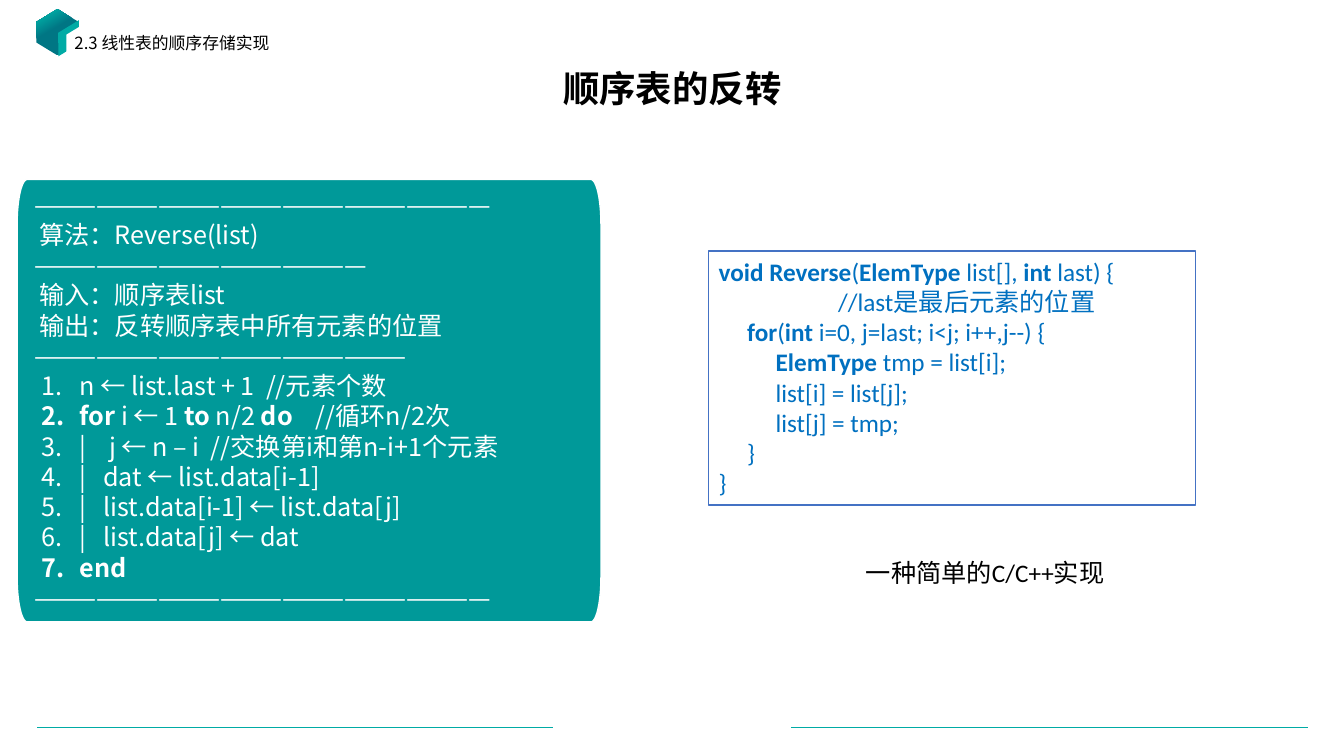
from math import cos, pi, sin

from lxml.etree import SubElement
from pptx import Presentation
from pptx.dml.color import RGBColor
from pptx.enum.shapes import MSO_CONNECTOR, MSO_SHAPE
from pptx.enum.text import MSO_ANCHOR, PP_ALIGN
from pptx.oxml.ns import qn
from pptx.util import Inches, Pt

TEAL = RGBColor(0x00, 0xAB, 0xA5)
DARK_TEAL = RGBColor(0x00, 0x76, 0x84)
PANEL_TEAL = RGBColor(0x00, 0x99, 0x99)
CODE_BLUE = RGBColor(0x00, 0x70, 0xC0)
BORDER_BLUE = RGBColor(0x44, 0x72, 0xC4)
WHITE = RGBColor(0xFF, 0xFF, 0xFF)
BLACK = RGBColor(0x00, 0x00, 0x00)
CHINESE_FONT = "Noto Sans CJK SC"
LATIN_FONT = "Calibri"

LONG_RULE = "—" * 22
HEADING = [LONG_RULE, "算法：Reverse(list)", "—" * 16, "输入：顺序表list",
           "输出：反转顺序表中所有元素的位置", "—" * 18]
STEPS = [
    "n ← list.last + 1  //元素个数",
    "**for **i ← 1 **to **n/2 **do    **//循环n/2次",
    "|    j ← n – i  //交换第i和第n-i+1个元素",
    "|   dat ← list.data[i-1]",
    "|   list.data[i-1] ← list.data[j]",
    "|   list.data[j] ← dat",
    "**end**",
]
CODE = [
    "**void Reverse**(**ElemType** list[], **int** last) {",
    "                     //last是最后元素的位置",
    "     **for**(**int **i=0, j=last; i<j; i++,j--) {",
    "          **ElemType **tmp = list[i];",
    "          list[i] = list[j];",
    "          list[j] = tmp;",
    "     }",
    "}",
]


def write_lines(frame, lines, font, size, color, bold=False):
    """Fill the frame with one paragraph a line; **marks** enclose bold spans."""
    frame.word_wrap = True
    for index, line in enumerate(lines):
        para = frame.paragraphs[0] if index == 0 else frame.add_paragraph()
        para.alignment = PP_ALIGN.LEFT
        for part, words in enumerate(line.split("**")):
            if not words:
                continue
            span = para.add_run()
            span.text = words
            span.font.name = font
            span.font.size = Pt(size)
            span.font.bold = bold or part % 2 == 1
            span.font.color.rgb = color
            SubElement(span.font._element, qn("a:ea")).set("typeface", font)
    return frame.paragraphs


def add_label(page, place, text, font, size, bold=False):
    box = page.shapes.add_textbox(*map(Inches, place))
    return box.text_frame, write_lines(box.text_frame, [text], font, size, BLACK, bold)[0]


def add_plain_shape(page, kind, place, fill, rotation=0):
    shape = page.shapes.add_shape(kind, *map(Inches, place))
    shape.shadow.inherit = False
    shape.rotation = rotation
    shape.fill.solid()
    shape.fill.fore_color.rgb = fill
    shape.line.fill.background()
    return shape


def add_footer_line(page, left, right):
    line = page.shapes.add_connector(MSO_CONNECTOR.STRAIGHT, Inches(left), Inches(7.22),
                                     Inches(right), Inches(7.22))
    line.line.color.rgb = TEAL
    line.line.width = Pt(0.5)
    SubElement(line._element.spPr, qn("a:effectLst"))


def add_cube(page):
    cube = add_plain_shape(page, MSO_SHAPE.HEXAGON, (0.34, 0.11, 0.46, 0.42), TEAL, 90)
    cube.adjustments[0] = 0.305
    cube.fill.gradient()
    cube.fill.gradient_angle = 210
    for stop, position, color in zip(cube.fill.gradient_stops, (0.57, 0.87), (DARK_TEAL, TEAL)):
        stop.position = position
        stop.color.rgb = color
    for left, top, color in ((0.5, 0.28, TEAL), (0.58, 0.3, WHITE)):
        face = add_plain_shape(page, MSO_SHAPE.PARALLELOGRAM, (left, top, 0.36, 0.2), color, 328.6)
        face.adjustments[0] = 0.61


def elliptical_corners(left, top, width, height, radius_x, radius_y, steps=12):
    """Return the outline of a rectangle whose corners are quarter ellipses."""
    right, bottom = left + width, top + height
    centers = [(right - radius_x, bottom - radius_y), (left + radius_x, bottom - radius_y),
               (left + radius_x, top + radius_y), (right - radius_x, top + radius_y)]
    points = []
    for quarter, (x, y) in enumerate(centers):
        for step in range(steps + 1):
            angle = (quarter + step / steps) * pi / 2
            points.append((Inches(x + radius_x * cos(angle)), Inches(y + radius_y * sin(angle))))
    return points


def number_paragraph(para):
    properties = para._p.get_or_add_pPr()
    properties.set("marL", str(Inches(0.45)))
    properties.set("indent", str(Inches(-0.38)))
    SubElement(properties, qn("a:buFont")).set("typeface", "+mj-lt")
    SubElement(properties, qn("a:buAutoNum")).set("type", "arabicPeriod")


def add_algorithm_panel(page):
    start, *others = elliptical_corners(0.17, 1.78, 5.79, 4.39, 0.1, 0.44)
    builder = page.shapes.build_freeform(*start)
    builder.add_line_segments(others, close=True)
    panel = builder.convert_to_shape()
    panel.shadow.inherit = False
    panel.fill.solid()
    panel.fill.fore_color.rgb = PANEL_TEAL
    panel.line.color.rgb = WHITE
    panel.line.width = Pt(1)

    frame = panel.text_frame
    frame.vertical_anchor = MSO_ANCHOR.MIDDLE
    frame.margin_left = frame.margin_top = frame.margin_bottom = Inches(0.17)
    frame.margin_right = Inches(0.1)
    paragraphs = write_lines(frame, HEADING + STEPS + [LONG_RULE], CHINESE_FONT, 18, WHITE)
    for para in paragraphs:
        para.line_spacing = Pt(21.6)
        if para.text[0] in "算输":
            para._p.get_or_add_pPr().set("marL", str(Inches(0.05)))
    for para in paragraphs[len(HEADING):-1]:
        number_paragraph(para)


def add_code_box(page):
    box = add_plain_shape(page, MSO_SHAPE.RECTANGLE, (7.03, 2.49, 4.83, 2.52), WHITE)
    box.line.color.rgb = BORDER_BLUE
    box.line.width = Pt(1)
    box.text_frame.vertical_anchor = MSO_ANCHOR.TOP
    write_lines(box.text_frame, CODE, LATIN_FONT, 18, CODE_BLUE)


def main():
    deck = Presentation()
    deck.slide_width, deck.slide_height = Inches(13.33), Inches(7.5)
    page = deck.slides.add_slide(deck.slide_layouts[6])

    add_footer_line(page, 0.37, 5.48)
    add_footer_line(page, 7.85, 12.97)
    add_cube(page)

    title_frame, title = add_label(page, (0.92, 0.62, 11.5, 0.57), "顺序表的反转",
                                   CHINESE_FONT, 26, bold=True)
    title_frame.vertical_anchor = MSO_ANCHOR.MIDDLE
    title.alignment = PP_ALIGN.CENTER
    title.line_spacing = 0.9
    _, section = add_label(page, (0.64, 0.3, 5.32, 0.36), "2.3 线性表的顺序存储实现",
                           CHINESE_FONT, 12)
    section.line_spacing = 0.9

    add_algorithm_panel(page)
    add_code_box(page)
    add_label(page, (8.49, 5.48, 2.59, 0.4), "一种简单的C/C++实现", LATIN_FONT, 18)
    deck.save("out.pptx")


if __name__ == "__main__":
    main()
